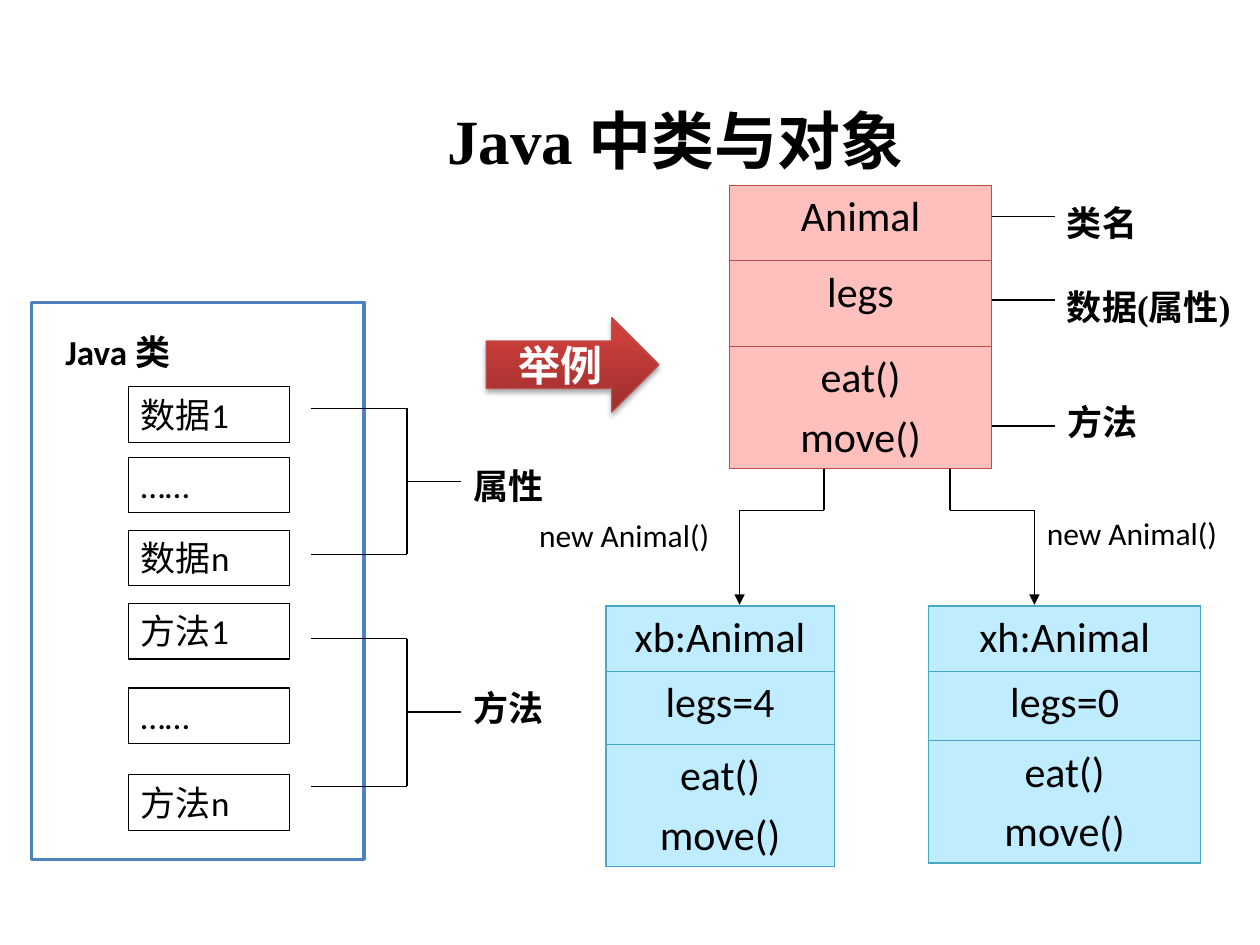
"""Build a slide that explains Java classes and objects with an Animal example."""
from lxml import etree
from pptx import Presentation
from pptx.dml.color import RGBColor
from pptx.enum.shapes import MSO_CONNECTOR, MSO_SHAPE
from pptx.enum.text import MSO_ANCHOR, PP_ALIGN
from pptx.oxml import parse_xml
from pptx.oxml.ns import nsdecls, qn
from pptx.util import Inches, Pt

RECT, ARROW, STRAIGHT = MSO_SHAPE.RECTANGLE, MSO_SHAPE.RIGHT_ARROW, MSO_CONNECTOR.STRAIGHT
LEFT, CENTER = PP_ALIGN.LEFT, PP_ALIGN.CENTER
TOP, MIDDLE = MSO_ANCHOR.TOP, MSO_ANCHOR.MIDDLE
SANS, SERIF = "Calibri", "Times New Roman"
rgb = RGBColor.from_string

prs = Presentation()
prs.slide_width, prs.slide_height = Inches(10), Inches(7.5)
s = prs.slides.add_slide(prs.slide_layouts[6])
s.background.fill.solid()
s.background.fill.fore_color.rgb = rgb("FFFFFF")
col, row = prs.slide_width / 100, prs.slide_height / 75


def grid(x, y, *size):
    """Turn grid columns and rows into slide lengths."""
    return [round(v * unit) for v, unit in zip((x, y, *size), (col, row, col, row))]


def write(tf, lines, size, font, bold=False, color="000000", align=LEFT, anchor=TOP):
    """Fill a text frame with lines in one style."""
    tf.text = "\n".join(lines)
    tf.word_wrap = True
    tf.vertical_anchor = anchor
    for i, p in enumerate(tf.paragraphs):
        p.alignment = align
        if i:
            p.space_before = Pt(size * 0.2)
        for r in p.runs:
            r.font.size, r.font.name, r.font.bold = Pt(size), font, bold
            r.font.color.rgb = rgb(color)


card = s.shapes.add_shape(RECT, *grid(2.5, 24, 26.4, 44.2))
card.shadow.inherit = False
card.fill.solid()
card.fill.fore_color.rgb = rgb("FFFFFF")
card.line.color.rgb = rgb("4F81BD")
card.line.width = Pt(2)

members = [("数据1", 30.7), ("……", 36.3), ("数据n", 42.1),
           ("方法1", 47.9), ("……", 54.6), ("方法n", 61.5)]
for text, y in members:
    sp = s.shapes.add_shape(RECT, *grid(10.2, y, 12.8, 4.4))
    sp.shadow.inherit = False
    sp.fill.background()
    sp.line.color.rgb = rgb("000000")
    sp.line.width = Pt(0.75)
    write(sp.text_frame, [text], 20, SANS)

labels = [
    ("Java 类", 4.2, 25.7, 18.8, 20, SANS, True),
    ("属性", 36.6, 36.4, 10.2, 20, SANS, True),
    ("方法", 36.6, 54, 8.5, 20, SANS, True),
    ("类名", 83.7, 15.5, 8.3, 20, SERIF, True),
    ("数据(属性)", 83.7, 22.2, 16.7, 20, SERIF, True),
    ("方法", 83.7, 31.3, 12.5, 20, SERIF, True),
    ("new Animal()", 82.1, 40.3, 18.3, 18, SANS, False),
    ("new Animal()", 41.8, 40.5, 18.3, 18, SANS, False),
    ("Java 中类与对象", 34.5, 7.6, 39.1, 36, SERIF, True),
]
for text, x, y, w, size, font, bold in labels:
    sp = s.shapes.add_textbox(*grid(x, y, w, size * 0.22))
    write(sp.text_frame, [text], size, font, bold)

tables = [
    (57.9, 14.7, 20.8, (6, 6.8, 9.7), "Animal", "legs", "FFBFBD", "BF4C48"),
    (73.7, 48.1, 21.6, (5.2, 5.5, 9.7), "xh:Animal", "legs=0", "BFECFF", "46AAC5"),
    (48.1, 48.1, 18.1, (5.2, 5.8, 9.7), "xb:Animal", "legs=4", "BFECFF", "46AAC5"),
]
for x, y, w, heights, name, data, fill, edge in tables:
    table = s.shapes.add_table(3, 1, *grid(x, y, w, sum(heights))).table
    for i, lines in enumerate([[name], [data], ["eat()", "move()"]]):
        table.rows[i].height = round(heights[i] * row)
        cell = table.cell(i, 0)
        write(cell.text_frame, lines, 24, SANS, align=CENTER)
        for side in ("lnL", "lnR", "lnT", "lnB"):
            cell._tc.get_or_add_tcPr().append(parse_xml(
                f'<a:{side} {nsdecls("a")} w="9525"><a:solidFill>'
                f'<a:srgbClr val="{edge}"/></a:solidFill></a:{side}>'))
        cell.fill.solid()
        cell.fill.fore_color.rgb = rgb(fill)

lines = [(78.7, y, 83.7, y, False) for y in (17.2, 23.8, 33.8)]
for top, middle, bottom in [(32.4, 38.2, 44), (50.7, 56.5, 62.4)]:
    lines += [(24.7, top, 32.3, top, False), (32.3, top, 32.3, bottom, False),
              (32.3, bottom, 24.7, bottom, False), (32.3, middle, 36.6, middle, False)]
for start, end in [(65.4, 58.7), (75.4, 82.1)]:
    lines += [(start, 37.2, start, 40.5, False), (start, 40.5, end, 40.5, False),
              (end, 40.5, end, 48, True)]
for x1, y1, x2, y2, arrowhead in lines:
    c = s.shapes.add_connector(STRAIGHT, *grid(x1, y1), *grid(x2, y2))
    c.line.color.rgb = rgb("000000")
    c.line.width = Pt(0.75)
    if arrowhead:
        etree.SubElement(c.line._get_or_add_ln(), qn("a:tailEnd"), type="triangle")
    etree.SubElement(c._element.spPr, qn("a:effectLst"))

sp = s.shapes.add_shape(ARROW, *grid(38.6, 25.2, 13.7, 7.5))
sp.fill.gradient()
sp.fill.gradient_angle = 90
for stop, color, position in zip(sp.fill.gradient_stops, ("9C2F2D", "CB3E3A"), (0, 0.8)):
    stop.color.rgb = rgb(color)
    stop.position = position
sp.line.color.rgb = rgb("BF4C48")
sp.line.width = Pt(0.75)
sp._element.spPr.append(parse_xml(
    f'<a:effectLst {nsdecls("a")}><a:outerShdw blurRad="{Pt(3.1)}" dist="{Pt(1.8)}" '
    'dir="5400000" rotWithShape="0"><a:srgbClr val="000000"><a:alpha val="35000"/>'
    '</a:srgbClr></a:outerShdw></a:effectLst>'))
write(sp.text_frame, ["举例"], 24, SERIF, True, "FFFFFF", CENTER, MIDDLE)

prs.save("out.pptx")
